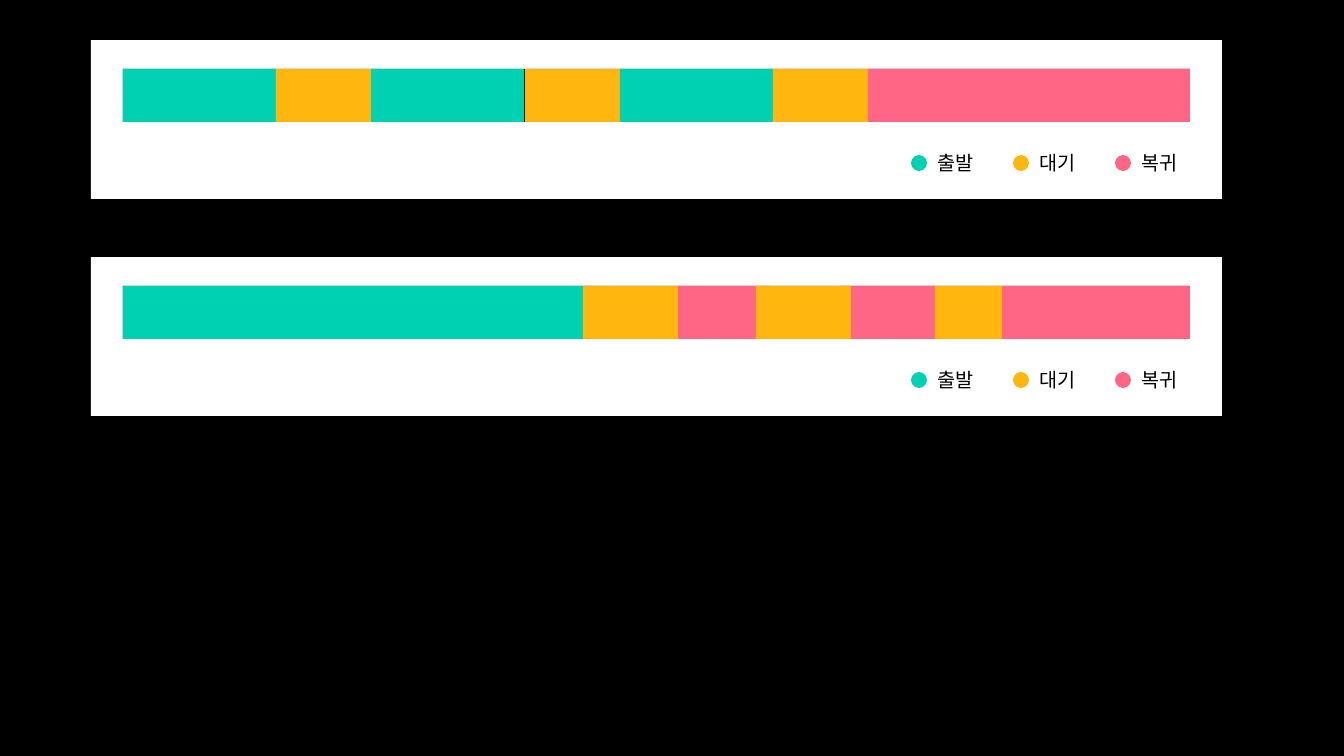
"""Build a slide with two phase timelines, each on a white panel with a legend."""
from dataclasses import dataclass

from lxml import etree
from pptx import Presentation
from pptx.dml.color import RGBColor
from pptx.enum.shapes import MSO_SHAPE
from pptx.enum.text import MSO_AUTO_SIZE
from pptx.oxml.ns import qn
from pptx.util import Pt

RECTANGLE = MSO_SHAPE.RECTANGLE
OVAL = MSO_SHAPE.OVAL
FIT_SHAPE = MSO_AUTO_SIZE.SHAPE_TO_FIT_TEXT

EMU_PER_PX = 914400 / 100.8
FONT = "Noto Sans CJK KR"
BLANK_LAYOUT = 6
COLORS = {
    "black": "000000",
    "white": "FFFFFF",
    "출발": "00D1B2",
    "대기": "FFB70F",
    "복귀": "FF6685",
}
PHASES = ("출발", "대기", "복귀")

PANEL_LEFT, PANEL_WIDTH, PANEL_HEIGHT = 91, 1131, 159
BAR_LEFT, BAR_WIDTH, BAR_HEIGHT, BAR_DROP = 123, 1067, 53, 29
DOT_LEFT, DOT_SIZE, DOT_DROP = 911, 16, 115
LABEL_LEFT, LABEL_WIDTH, LABEL_HEIGHT, LABEL_DROP = 928, 56, 34, 106
LEGEND_PITCH = 102


@dataclass(frozen=True)
class Segment:
    """A phase on the bar, measured from the left of the slide."""

    phase: str
    left: int
    width: int


@dataclass(frozen=True)
class Timeline:
    """A panel and its segments, from back to front."""

    top: int
    segments: tuple[Segment, ...]


TIMELINES = (
    Timeline(40, (
        Segment("출발", 123, 153),
        Segment("대기", 276, 95),
        Segment("출발", 371, 153),
        Segment("대기", 525, 95),
        Segment("출발", 620, 153),
        Segment("대기", 773, 95),
        Segment("복귀", 868, 322),
    )),
    Timeline(257, (
        Segment("출발", 123, 470),
        Segment("복귀", 675, 95),
        Segment("대기", 583, 95),
        Segment("복귀", 840, 95),
        Segment("복귀", 1002, 188),
        Segment("대기", 756, 95),
        Segment("대기", 935, 67),
    )),
)


def px(length: int) -> int:
    """Turn pixels into EMU."""
    return round(length * EMU_PER_PX)


def add_block(shapes, kind, color: str, left: int, top: int, width: int, height: int) -> None:
    """Draw a filled shape without an outline."""
    block = shapes.add_shape(kind, px(left), px(top), px(width), px(height))
    block.shadow.inherit = False
    block.fill.solid()
    block.fill.fore_color.rgb = RGBColor.from_string(COLORS[color])
    block.line.fill.background()


def add_label(shapes, text: str, left: int, top: int) -> None:
    """Write the name of a phase."""
    box = shapes.add_textbox(px(left), px(top), px(LABEL_WIDTH), px(LABEL_HEIGHT))
    box.text_frame.word_wrap = False
    box.text_frame.auto_size = FIT_SHAPE
    para = box.text_frame.paragraphs[0]
    span = para.add_run()
    span.text = text
    span.font.size = Pt(14)
    span.font.name = FONT
    span.font.color.rgb = RGBColor.from_string(COLORS["black"])
    etree.SubElement(span.font._element, qn("a:ea"), typeface=FONT)


def add_legend(shapes, top: int) -> None:
    """Draw a dot and a label for each phase."""
    legend = shapes.add_group_shape().shapes
    for index, phase in enumerate(PHASES):
        shift = index * LEGEND_PITCH
        add_block(legend, OVAL, phase, DOT_LEFT + shift, top + DOT_DROP, DOT_SIZE, DOT_SIZE)
        add_label(legend, phase, LABEL_LEFT + shift, top + LABEL_DROP)


def add_timeline(shapes, timeline: Timeline) -> None:
    """Draw a panel with its legend and segmented bar."""
    top = timeline.top
    add_block(shapes, RECTANGLE, "white", PANEL_LEFT, top, PANEL_WIDTH, PANEL_HEIGHT)
    add_legend(shapes, top)
    bar = shapes.add_group_shape().shapes
    bar_top = top + BAR_DROP
    add_block(bar, RECTANGLE, "black", BAR_LEFT, bar_top, BAR_WIDTH, BAR_HEIGHT)
    for segment in timeline.segments:
        add_block(bar, RECTANGLE, segment.phase, segment.left, bar_top, segment.width, BAR_HEIGHT)


def main() -> None:
    """Build and save the deck."""
    deck = Presentation()
    deck.slide_width, deck.slide_height = px(1344), px(756)
    page = deck.slides.add_slide(deck.slide_layouts[BLANK_LAYOUT])
    page.background.fill.solid()
    page.background.fill.fore_color.rgb = RGBColor.from_string(COLORS["black"])
    for timeline in TIMELINES:
        add_timeline(page.shapes, timeline)
    deck.save("out.pptx")


if __name__ == "__main__":
    main()
